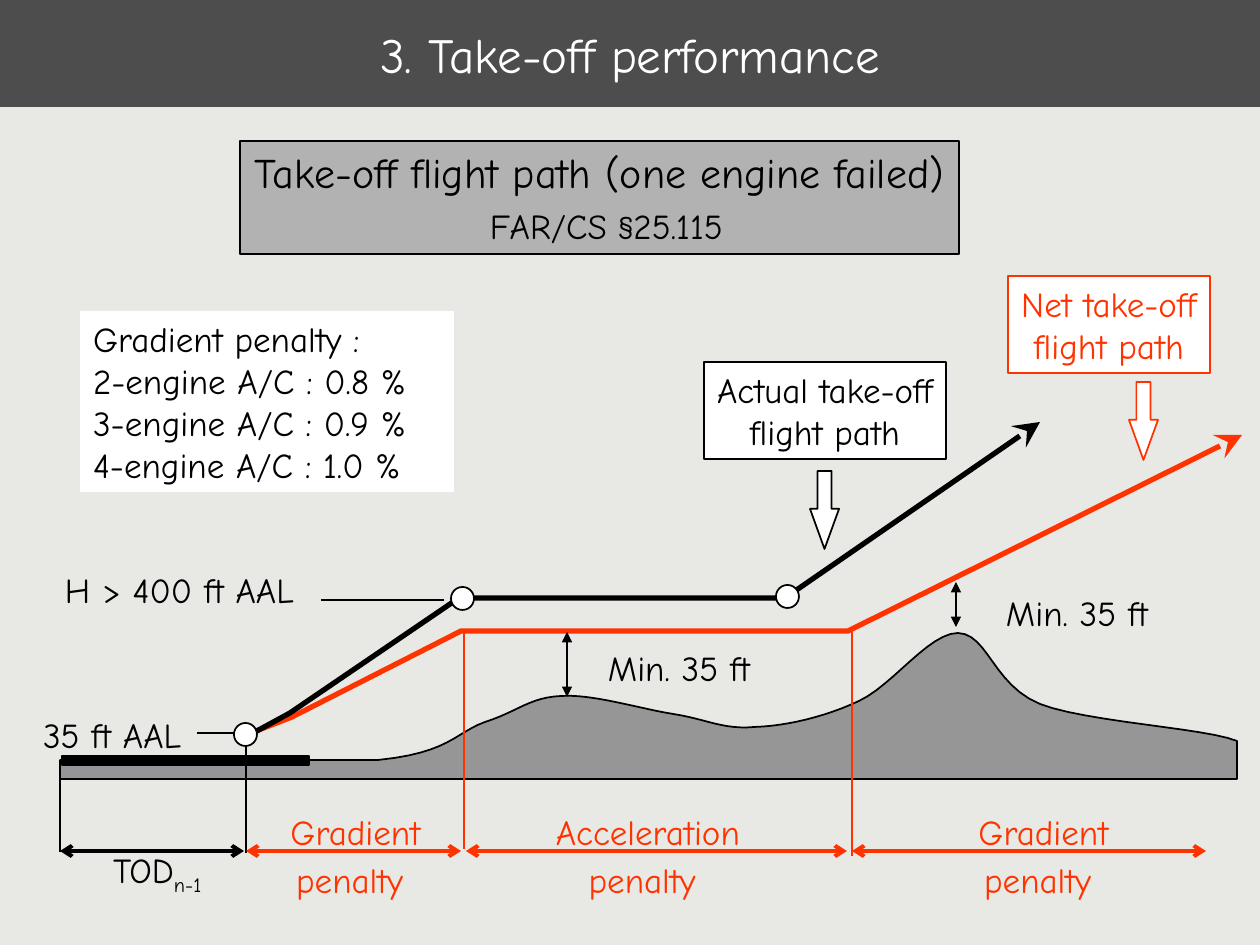
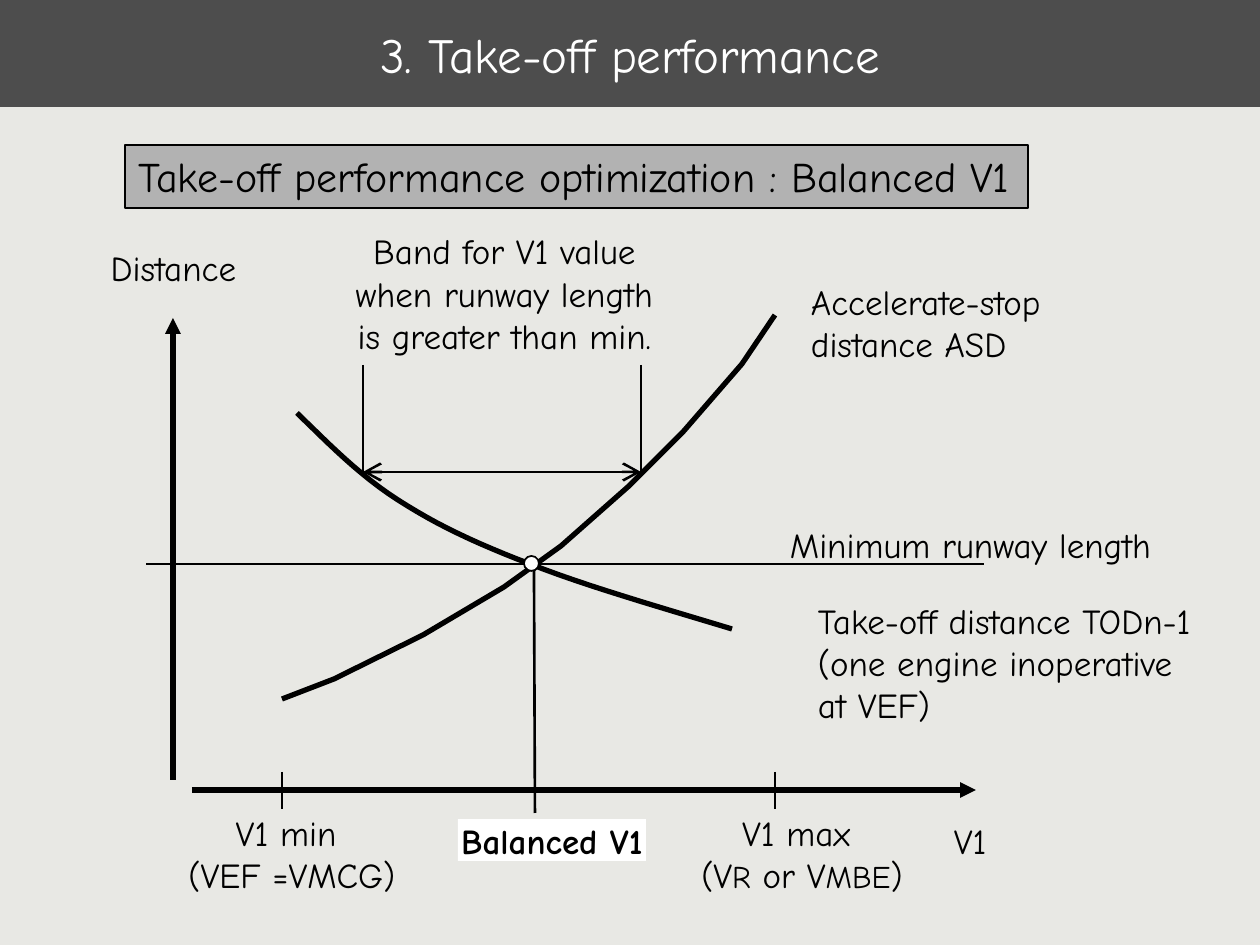
import pptx
import pptx.util
import pptx.dml.color
import pptx.enum.shapes
import pptx.enum.text
import pptx.oxml
import pptx.oxml.ns

PX = 914400 / 126
FONT = "Comic Neue"
BLACK, WHITE, RED = "000000", "FFFFFF", "FF3300"
PAPER, BAND, BANNER, HILL = "E8E8E4", "4D4D4D", "B2B2B2", "969696"
SHAPE = pptx.enum.shapes.MSO_SHAPE
ALIGN = pptx.enum.text.PP_ALIGN
AUTO = pptx.enum.text.MSO_AUTO_SIZE
LEFT, CENTER = ALIGN.LEFT, ALIGN.CENTER
TITLE = "3. Take-off performance"


def px(n):
    return pptx.util.Emu(round(n * PX))


def rgb(color):
    return pptx.dml.color.RGBColor.from_string(color)


def paint(sp, fill=None, line=None, width=1):
    if fill:
        sp.fill.solid()
        sp.fill.fore_color.rgb = rgb(fill)
    else:
        sp.fill.background()
    if line:
        sp.line.color.rgb = rgb(line)
        sp.line.width = pptx.util.Pt(width)
    else:
        sp.line.fill.background()
    sp.shadow.inherit = False


def add_ends(sp, head=None, tail=None, size="med"):
    ln = sp.line._get_or_add_ln()
    for tag, kind in (("a:headEnd", head), ("a:tailEnd", tail)):
        if kind:
            end = pptx.oxml.ns.qn(tag)
            ln.append(ln.makeelement(
                end, {"type": kind, "w": size, "len": size}))


def style_run(r, size, color=BLACK, bold=False):
    r.font.name = FONT
    r.font.size = pptx.util.Pt(size)
    r.font.bold = bold
    r.font.color.rgb = rgb(color)


def add_run(p, text, size):
    r = p.add_run()
    r.text = text
    style_run(r, size)
    return r


def write(sp, text, size=20, color=BLACK, align=LEFT, pad=True, bold=False,
          wrap=False, spacing=None):
    tf = sp.text_frame
    tf.text = text
    tf.word_wrap = wrap
    tf.auto_size = AUTO.NONE
    tf.vertical_anchor = pptx.enum.text.MSO_ANCHOR.TOP
    tf.margin_left = px(13 if pad and align == LEFT else 0)
    tf.margin_right = 0
    tf.margin_top = tf.margin_bottom = px(6 if pad else 0)
    for p in tf.paragraphs:
        p.alignment = align
        p.line_spacing = spacing
        for r in p.runs:
            style_run(r, size, color, bold)
    return tf


def bezier(start, curve, steps=12):
    x0, y0 = start
    x1, y1, x2, y2, x3, y3 = curve
    for i in range(1, steps + 1):
        t = i / steps
        u = 1 - t
        a, b, c, d = u ** 3, 3 * u * u * t, 3 * u * t * t, t ** 3
        yield (a * x0 + b * x1 + c * x2 + d * x3,
               a * y0 + b * y1 + c * y2 + d * y3)


class Region:
    def __init__(self, s, x, y):
        self.shapes, self.x, self.y = s.shapes, x, y

    def place(self, x, y):
        return px(self.x + x), px(self.y + y)

    def shape(self, kind, x, y, w, h, fill=None, line=None):
        sp = self.shapes.add_shape(kind, *self.place(x, y), px(w), px(h))
        paint(sp, fill, line)
        return sp

    def box(self, x, y, w, h, text, fill, line=None, **style):
        sp = self.shape(SHAPE.RECTANGLE, x, y, w, h, fill, line)
        return write(sp, text, wrap=True, **style)

    def label(self, x, y, w, h, text, **style):
        sp = self.shapes.add_textbox(*self.place(x, y), px(w), px(h))
        return write(sp, text, wrap=True, **style)

    def dot(self, x, y, d):
        self.shape(SHAPE.OVAL, x, y, d, d, WHITE, BLACK)

    def line(self, x1, y1, x2, y2, color=BLACK, width=1, head=None, tail=None,
             size="med"):
        c = self.shapes.add_connector(pptx.enum.shapes.MSO_CONNECTOR.STRAIGHT,
                                      *self.place(x1, y1), *self.place(x2, y2))
        c.line.color.rgb = rgb(color)
        c.line.width = pptx.util.Pt(width)
        add_ends(c, head, tail, size)
        sppr = c._element.spPr
        sppr.append(sppr.makeelement(pptx.oxml.ns.qn("a:effectLst"), {}))

    def outline(self, steps, fill=None, line=BLACK, width=3, tail=None):
        points = [steps[0]]
        for step in steps[1:]:
            points += [step] if len(step) == 2 else bezier(points[-1], step)
        first, *rest = [self.place(*point) for point in points]
        fb = self.shapes.build_freeform(*first)
        fb.add_line_segments(rest, close=fill is not None)
        sp = fb.convert_to_shape()
        paint(sp, fill, line, width)
        add_ends(sp, tail=tail, size="lg")


def add_slide(prs):
    s = prs.slides.add_slide(prs.slide_layouts[5])
    sp = s.shapes.title
    sp.left, sp.top, sp.width, sp.height = 0, 0, prs.slide_width, px(107)
    paint(sp, BAND)
    tf = write(sp, TITLE, size=28, color=WHITE, align=CENTER, wrap=True)
    tf.vertical_anchor = pptx.enum.text.MSO_ANCHOR.MIDDLE
    return s


def terrain(g):
    g.outline([(0, 128), (318, 128),
               (389, 121, 395, 101, 425, 90),
               (457, 80, 470, 65, 502, 64),
               (533, 62, 581, 77, 613, 82),
               (646, 87, 663, 98, 695, 95),
               (726, 94, 765, 85, 799, 69),
               (833, 53, 869, 1, 898, 1),
               (928, 2, 933, 53, 980, 72),
               (1026, 90, 1145, 96, 1177, 109),
               (1177, 147), (0, 147)], fill=HILL, width=1)
    g.shape(SHAPE.RECTANGLE, 2, 124, 247, 9, BLACK, BLACK)


def phases(g):
    for x, top, bottom, color in ((0, 132, 222, BLACK), (186, 106, 223, BLACK),
                                  (404, 0, 219, RED), (792, 1, 226, RED)):
        g.line(x, top, x, bottom, color)
    for x1, x2, color in ((0, 184, BLACK), (186, 401, RED),
                          (406, 787, RED), (792, 1146, RED)):
        g.line(x1, 221, x2, 221, color, 2.25, "arrow", "arrow")
    for x, w, name in ((218, 155, "Gradient"), (483, 210, "Acceleration"),
                       (906, 155, "Gradient")):
        g.label(x, 168, w, 110, name + "\npenalty ", color=RED,
                align=CENTER, spacing=1.15)
    tf = g.label(40, 213, 130, 60, "TOD")
    r = add_run(tf.paragraphs[0], "n-1", 20)
    r.font._element.set("baseline", "-25000")


def flight_paths(g):
    g.outline([(256, 431), (292, 417), (461, 331), (848, 331), (1242, 135)],
              line=RED, tail="stealth")
    g.outline([(255, 432), (290, 413), (459, 298), (785, 298), (1040, 122)],
              tail="stealth")
    g.line(243, 433, 197, 433)
    g.line(321, 300, 444, 300)
    for x, y in ((234, 423), (451, 287), (776, 285)):
        g.dot(x, y, 23)
    g.label(30, 407, 180, 55, "35 ft AAL")
    g.label(52, 262, 270, 55, "H > 400 ft AAL")


def callout(g, w, text, color, arrow_x, arrow_y):
    g.box(0, 0, w, 97, text, WHITE, color, color=color, align=CENTER)
    sp = g.shape(SHAPE.DOWN_ARROW, arrow_x, arrow_y, 29, 78, WHITE, color)
    sp.adjustments[0], sp.adjustments[1] = 0.49, 1.38


def clearance(g, h, width, label_x, label_y):
    g.line(0, h, 0, 0, BLACK, width, "triangle", "triangle")
    g.label(label_x, label_y, 190, 55, "Min. 35 ft")


def flight_path_slide(prs):
    s = add_slide(prs)
    terrain(Region(s, 60, 632))
    phases(Region(s, 60, 630))
    flight_paths(Region(s, 0, 300))
    callout(Region(s, 704, 362), 242, "Actual take-off\nflight path",
            BLACK, 106, 109)
    callout(Region(s, 1008, 276), 202, "Net take-off\nflight path",
            RED, 121, 106)
    clearance(Region(s, 567, 632), 65, 1, 28, 8)
    clearance(Region(s, 956, 582), 45, 1.5, 37, 3)
    g = Region(s, 80, 141)
    g.box(0, 170, 374, 181, "Gradient penalty :\n2-engine A/C : 0.8 %\n"
          "3-engine A/C : 0.9 %\n4-engine A/C : 1.0 %", WHITE)
    tf = g.box(160, 0, 719, 113, "Take-off flight path (one engine failed)\n ",
               BANNER, BLACK, size=24, align=CENTER)
    add_run(tf.paragraphs[1], "FAR/CS §25.115", 20)


def axes(g):
    g.line(102, 590, 886, 590, width=3, tail="triangle")
    g.line(83, 580, 83, 118, width=3, tail="triangle")
    for x in (192, 685):
        g.line(x, 572, x, 609)
    g.label(8, 40, 151, 55, "Distance", align=CENTER)
    g.label(864, 619, 50, 42, "V1", pad=False)
    g.label(88, 611, 228, 84, "V1 min \n(VEF =VMCG)", align=CENTER, pad=False)
    tf = g.label(601, 611, 222, 84, "V1 max \n(V", align=CENTER, pad=False)
    for text, size in (("R", 18), (" or V", 20), ("MBE", 18), (")", 20)):
        add_run(tf.paragraphs[1], text, size)


def stop_curve(g):
    g.outline([(0, 426), (52, 406), (141, 362), (222, 314), (279, 273),
               (347, 213), (401, 159), (460, 91), (493, 42)])
    g.label(516, 1, 280, 97, "Accelerate-stop\ndistance ASD")


def take_off_curve(g):
    g.outline([(0, 0), (32, 31, 62, 62, 101, 87),
               (140, 112, 178, 130, 233, 151),
               (289, 173, 362, 194, 435, 216)])
    g.label(508, 181, 430, 139, "Take-off distance TODn-1\n"
            "(one engine inoperative\nat VEF)")


def speed_band(g):
    g.line(20, 249, 298, 249, BLACK, 1.5, "arrow", "arrow", "lg")
    for x in (20, 298):
        g.line(x, 142, x, 249, width=1.5)
    g.label(0, 1, 323, 139, "Band for V1 value\nwhen runway length\n"
            "is greater than min.", align=CENTER)


def balance_point(g):
    g.line(388, 45, 389, 291, width=1.5)
    g.line(838, 42, 0, 42, width=1.5)
    g.dot(378, 34, 15)
    g.box(312, 297, 188, 42, "Balanced V1", WHITE, pad=False, bold=True,
          align=CENTER)
    g.label(644, 1, 390, 42, "Minimum runway length", pad=False)


def balanced_speed_slide(prs):
    s = add_slide(prs)
    axes(Region(s, 90, 200))
    stop_curve(Region(s, 282, 273))
    take_off_curve(Region(s, 297, 413))
    speed_band(Region(s, 343, 223))
    balance_point(Region(s, 146, 522))
    Region(s, 125, 145).box(
        0, 0, 903, 63, "Take-off performance optimization : Balanced V1",
        BANNER, BLACK, size=24)


def main():
    prs = pptx.Presentation()
    prs.slide_width, prs.slide_height = px(1260), px(945)
    fill = prs.slide_master.background.fill
    fill.solid()
    fill.fore_color.rgb = rgb(PAPER)
    flight_path_slide(prs)
    balanced_speed_slide(prs)
    prs.save("out.pptx")


if __name__ == "__main__":
    main()
